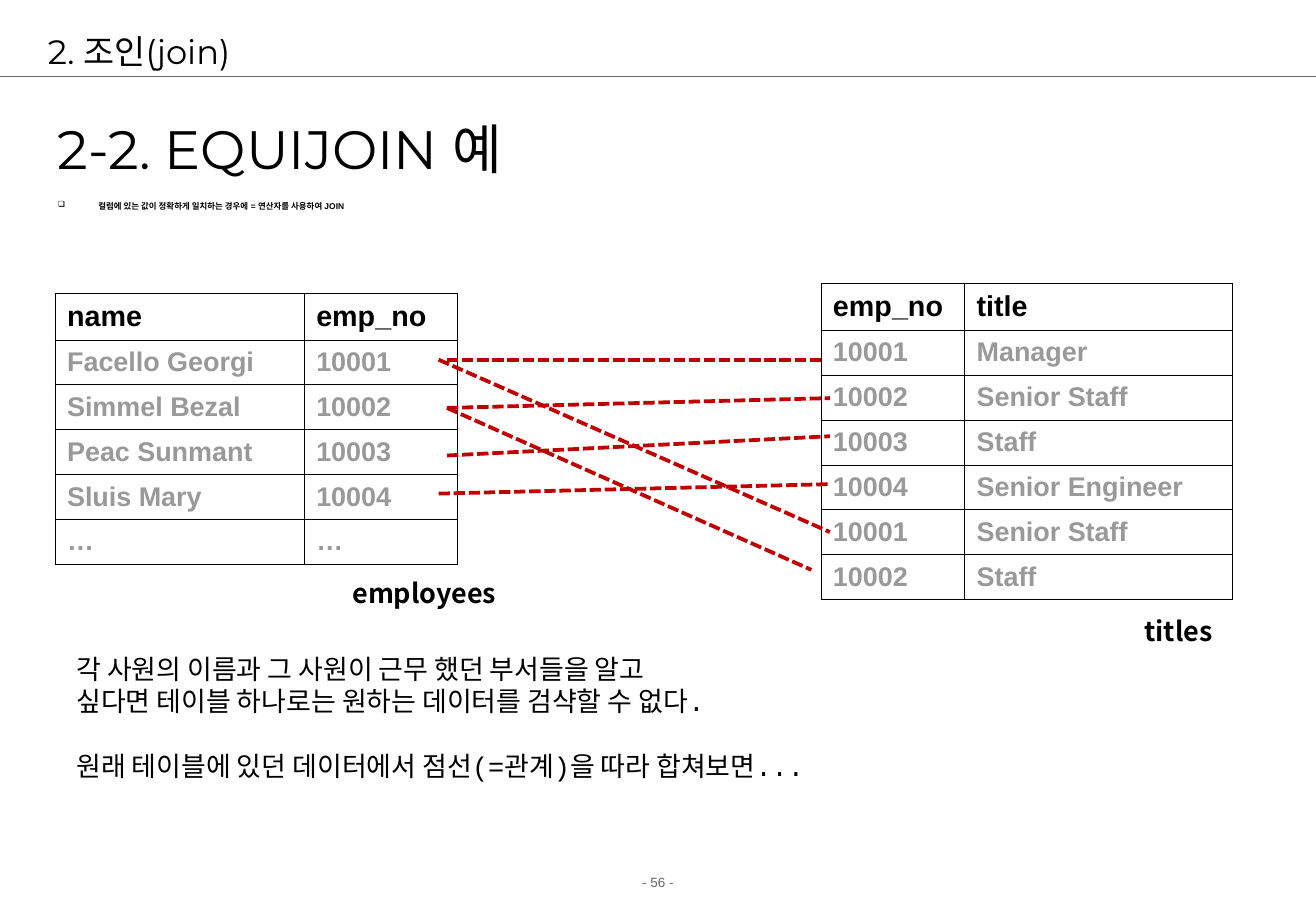
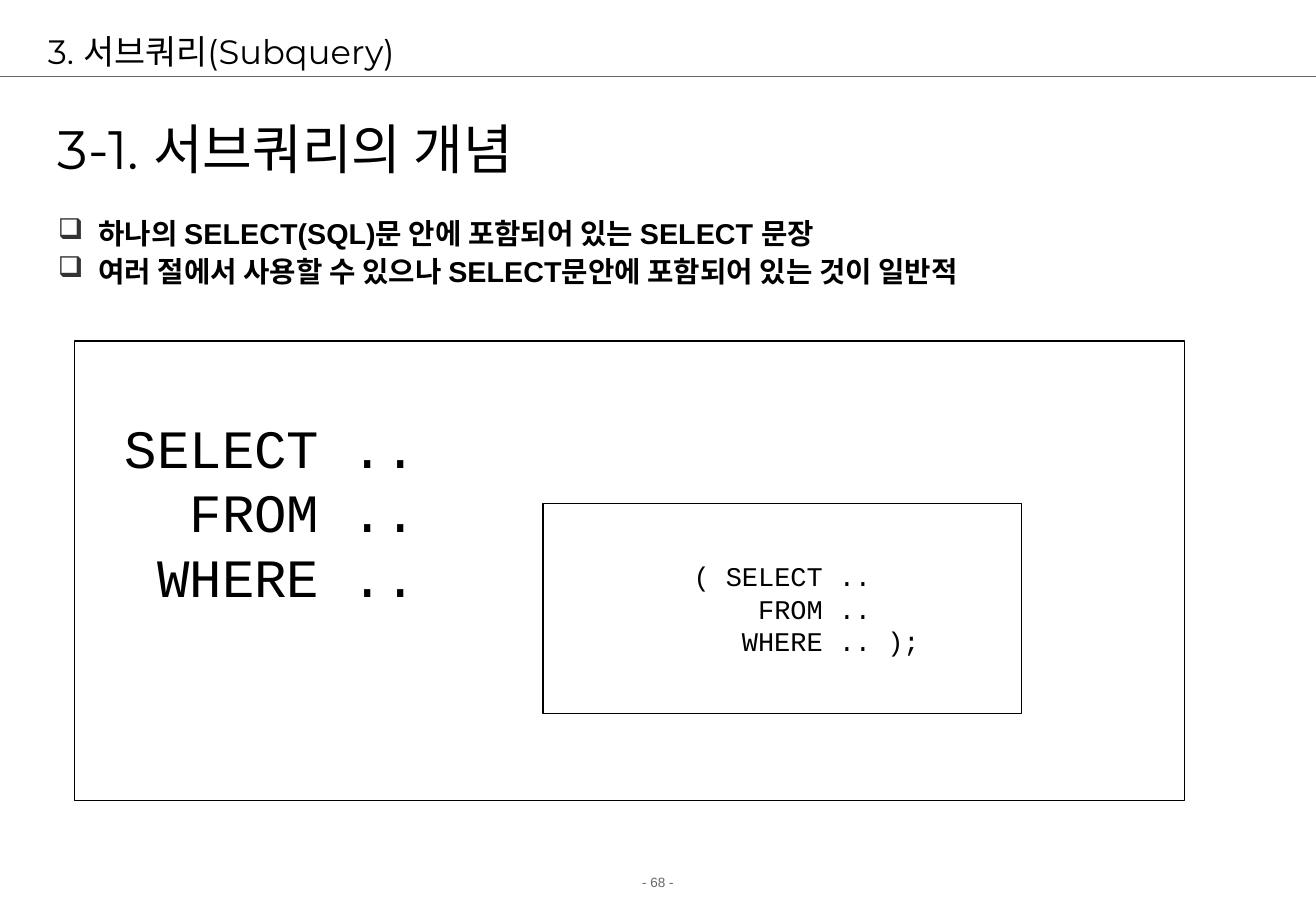
from lxml.etree import SubElement
from pptx import Presentation
from pptx.dml.color import RGBColor
from pptx.enum.dml import MSO_LINE
from pptx.enum.shapes import MSO_CONNECTOR, MSO_SHAPE
from pptx.enum.text import MSO_ANCHOR, MSO_AUTO_SIZE, PP_ALIGN
from pptx.oxml.ns import qn
from pptx.util import Pt

COLORS = {"ink": "000000", "muted": "999999", "rule": "666666", "bullet": "333333", "link": "C00000"}
LABEL = "Noto Sans CJK KR"
HEADING = "Montserrat"
BODY = "Arial"
CODE = "Courier New"
WIDTH, HEIGHT = 780.13, 540
HEADER_HEIGHT, ROW_HEIGHT = 27.6, 26.6


def color(name):
    return RGBColor.from_string(COLORS[name])


def write(frame, lines, font, size, ink="ink", bold=False, align=PP_ALIGN.LEFT):
    frame.text = "\n".join(lines)
    for para in frame.paragraphs:
        para.alignment = align
        for span in para.runs:
            span.font.size = Pt(size)
            span.font.bold = bold
            span.font.color.rgb = color(ink)
            span.font.name = font


def add_text(page, place, lines, font, size, wrap=True, anchor=MSO_ANCHOR.TOP, **style):
    box = page.shapes.add_textbox(*map(Pt, place))
    frame = box.text_frame
    frame.word_wrap = wrap
    frame.vertical_anchor = anchor
    write(frame, lines, font, size, **style)
    return frame


def add_line(page, start, end, ink, width, dash=None):
    line = page.shapes.add_connector(MSO_CONNECTOR.STRAIGHT, *map(Pt, start + end))
    line.line.color.rgb = color(ink)
    line.line.width = Pt(width)
    if dash:
        line.line.dash_style = dash
    SubElement(line._element.spPr, qn("a:effectLst"))


def add_page(deck, chapter, heading, number):
    page = deck.slides.add_slide(deck.slide_layouts[5])
    add_text(page, (0, 514.4, WIDTH, 17.3), [f"- {number} -"], BODY, 8,
             ink="rule", align=PP_ALIGN.CENTER)
    add_line(page, (0, 45.2), (WIDTH, 45.2), "rule", 0.75)
    title = page.shapes.title
    title.left, title.top, title.width, title.height = map(Pt, (21.2, 15, 732, 30.5))
    title.text_frame.auto_size = MSO_AUTO_SIZE.NONE
    title.text_frame.vertical_anchor = MSO_ANCHOR.MIDDLE
    write(title.text_frame, [chapter], HEADING, 20)
    add_text(page, (27.2, 54.7, 612, 66.2), [heading], HEADING, 32, anchor=MSO_ANCHOR.MIDDLE)
    return page


def add_bullets(page, top, height, lines, size):
    frame = add_text(page, (27.2, top, 743, height), lines, BODY, size, bold=True)
    for index, para in enumerate(frame.paragraphs):
        para.line_spacing = 0.8
        if index:
            para.space_before = Pt(6.2)
        props = para._p.get_or_add_pPr()
        props.set("marL", str(Pt(24)))
        props.set("indent", str(Pt(-24)))
        bullet_color = SubElement(props, qn("a:buClr"))
        SubElement(bullet_color, qn("a:srgbClr"), val=COLORS["bullet"])
        SubElement(props, qn("a:buChar"), char="❑")


def add_borders(cell):
    props = cell._tc.get_or_add_tcPr()
    for side in ("lnL", "lnR", "lnT", "lnB"):
        border = SubElement(props, qn(f"a:{side}"), w=str(Pt(0.34)))
        fill = SubElement(border, qn("a:solidFill"))
        SubElement(fill, qn("a:srgbClr"), val=COLORS["ink"])


def add_grid(page, left, top, widths, rows):
    height = HEADER_HEIGHT + ROW_HEIGHT * (len(rows) - 1)
    frame = page.shapes.add_table(len(rows), len(widths), *map(Pt, (left, top, sum(widths), height)))
    table = frame.table
    table.first_row = table.horz_banding = False
    for column, width in zip(table.columns, widths):
        column.width = Pt(width)
    for index, values in enumerate(rows):
        table.rows[index].height = Pt(ROW_HEIGHT if index else HEADER_HEIGHT)
        size, ink = (16, "muted") if index else (17, "ink")
        for cell, value in zip(table.rows[index].cells, values):
            write(cell.text_frame, [value], BODY, size, ink=ink, bold=True)
            cell.vertical_anchor = MSO_ANCHOR.MIDDLE
            add_borders(cell)
            cell.fill.background()


def add_frame(page, place):
    shape = page.shapes.add_shape(MSO_SHAPE.RECTANGLE, *map(Pt, place))
    shape.shadow.inherit = False
    shape.fill.background()
    shape.line.color.rgb = color("ink")
    shape.line.width = Pt(0.75)
    return shape


def build_equijoin(deck):
    page = add_page(deck, "2. 조인(join)", "2-2. EQUIJOIN 예", 56)
    add_bullets(page, 116.8, 45.4, ["컬럼에 있는 값이 정확하게 일치하는 경우에 = 연산자를 사용하여 JOIN"], 5)
    add_grid(page, 32.6, 173.8, (147.7, 90.8), [
        ("name", "emp_no"),
        ("Facello Georgi", "10001"),
        ("Simmel Bezal", "10002"),
        ("Peac Sunmant", "10003"),
        ("Sluis Mary", "10004"),
        ("…", "…"),
    ])
    add_grid(page, 486.6, 168.1, (85.2, 158.5), [
        ("emp_no", "title"),
        ("10001", "Manager"),
        ("10002", "Senior Staff"),
        ("10003", "Staff"),
        ("10004", "Senior Engineer"),
        ("10001", "Senior Staff"),
        ("10002", "Staff"),
    ])
    for start, end in [
        ((265, 213.2), (486.6, 213.2)),
        ((260, 213.2), (492, 315.4)),
        ((265, 241.8), (492, 236)),
        ((265, 241.8), (481, 337.8)),
        ((265, 270), (492, 258.6)),
        ((260, 292.6), (492, 287)),
    ]:
        add_line(page, start, end, "link", 2.25, MSO_LINE.SQUARE_DOT)
    note = add_text(page, (38.2, 383.2, 490.3, 103.7), [
        "각 사원의 이름과 그 사원이 근무 했던 부서들을 알고",
        "싶다면 테이블 하나로는 원하는 데이터를 검샥할 수 없다.",
        "원래 테이블에 있던 데이터에서 점선(=관계)을 따라 합쳐보면...",
    ], CODE, 16)
    note.paragraphs[2].space_before = Pt(19)
    for place, name in [((201.6, 338, 100, 26.6), "employees"), ((671, 361, 55.4, 26.6), "titles")]:
        add_text(page, place, [name], LABEL, 16, wrap=False, bold=True, align=PP_ALIGN.CENTER)


def build_subquery(deck):
    page = add_page(deck, "3. 서브쿼리(Subquery)", "3-1. 서브쿼리의 개념", 68)
    add_bullets(page, 128.2, 73.4, [
        "하나의 SELECT(SQL)문 안에 포함되어 있는 SELECT 문장",
        "여러 절에서 사용할 수 있으나 SELECT문안에 포함되어 있는 것이 일반적",
    ], 17)
    add_frame(page, (44, 202.2, 658, 272.2))
    add_text(page, (67, 242, 203.8, 122.4), ["SELECT ..", "  FROM ..", " WHERE .."], CODE, 32)
    subquery = add_frame(page, (322, 298.4, 283.7, 124.6)).text_frame
    subquery.margin_left = subquery.margin_right = subquery.margin_top = subquery.margin_bottom = 0
    subquery.vertical_anchor = MSO_ANCHOR.MIDDLE
    write(subquery, ["( SELECT ..", "    FROM ..", "      WHERE .. );"], CODE, 16, align=PP_ALIGN.CENTER)


def main():
    deck = Presentation()
    deck.slide_width, deck.slide_height = Pt(WIDTH), Pt(HEIGHT)
    build_equijoin(deck)
    build_subquery(deck)
    deck.save("out.pptx")


if __name__ == "__main__":
    main()
